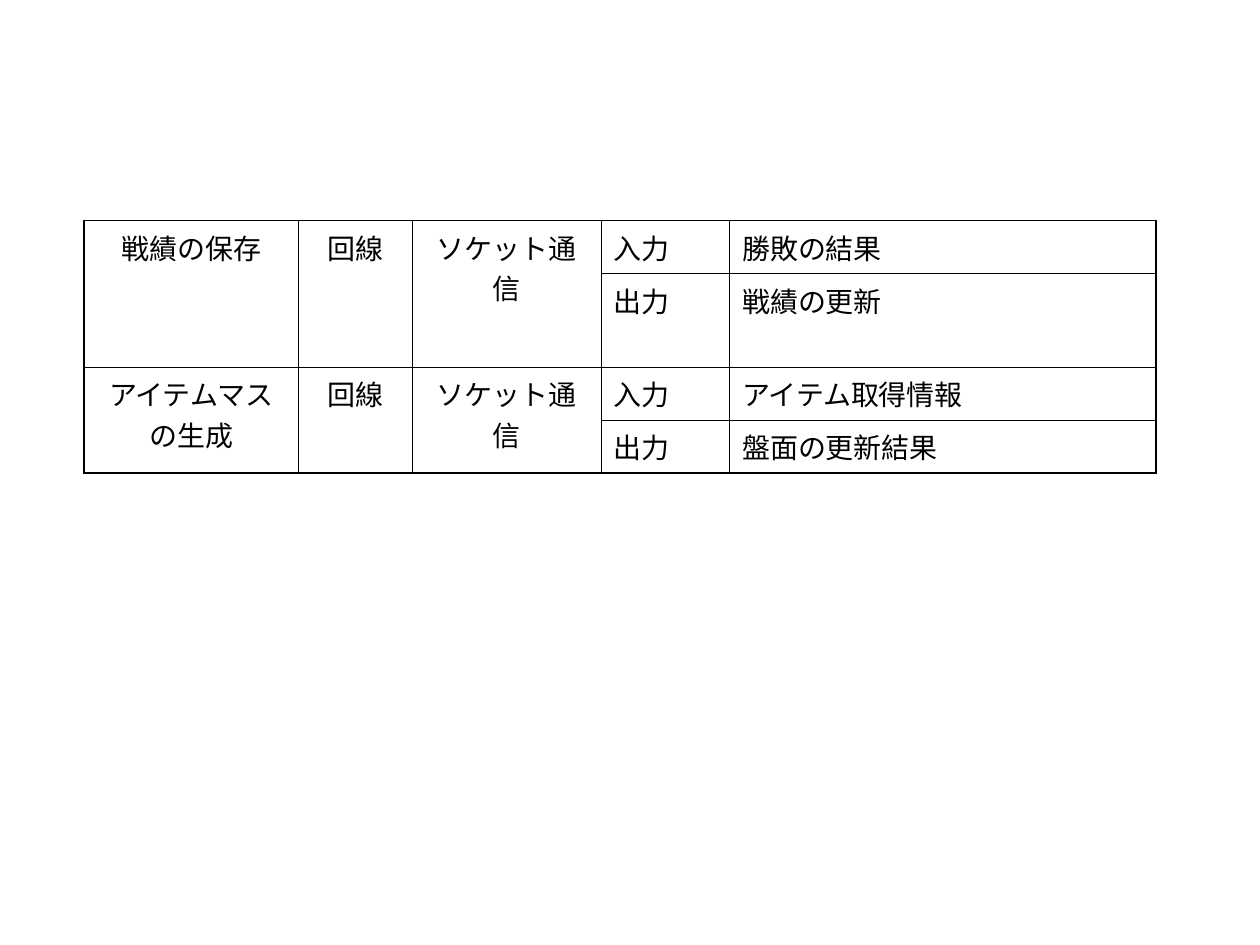
from lxml import etree
from pptx import Presentation
from pptx.dml.color import RGBColor
from pptx.enum import text
from pptx.oxml import ns
from pptx.util import Cm, Pt

COLORS = {"ink": "000000"}
FONT = "Times New Roman"
THIN, THICK = Pt(0.45), Pt(1.08)

COL_WIDTHS = [4.32, 2.29, 3.81, 2.59, 8.59]
ROW_HEIGHTS = [1.07, 1.88, 1.07, 1.07]
# Each function takes two rows: one for its input, one for its output
FUNCTIONS = [
    ("戦績の保存", "回線", "ソケット通信", "勝敗の結果", "戦績の更新"),
    ("アイテムマスの生成", "回線", "ソケット通信", "アイテム取得情報", "盤面の更新結果"),
]


def set_borders(cell, widths):
    """Draw the borders, given as {side: width} in the order L, R, T, B."""
    tc_pr = cell._tc.get_or_add_tcPr()
    for i, (side, width) in enumerate(widths.items()):
        ln = etree.Element(ns.qn(f"a:ln{side}"), w=str(int(width)))
        fill = etree.SubElement(ln, ns.qn("a:solidFill"))
        etree.SubElement(fill, ns.qn("a:srgbClr"), val=COLORS["ink"])
        tc_pr.insert(i, ln)


def write(cell, words, align):
    p = cell.text_frame.paragraphs[0]
    p.alignment = align
    r = p.add_run()
    r.text = words
    r.font.name = FONT
    r.font.size = Pt(16)
    r.font.color.rgb = RGBColor.from_string(COLORS["ink"])


def add_interface_table(s, left, top):
    n_rows, n_cols = len(ROW_HEIGHTS), len(COL_WIDTHS)
    frame = s.shapes.add_table(n_rows, n_cols, Cm(left), Cm(top),
                               Cm(sum(COL_WIDTHS)), Cm(sum(ROW_HEIGHTS)))
    table = frame.table
    table.first_row = table.horz_banding = False
    for col, width in zip(table.columns, COL_WIDTHS):
        col.width = Cm(width)
    for row, height in zip(table.rows, ROW_HEIGHTS):
        row.height = Cm(height)

    # Wording and merged cells
    for i, (*shared, source, result) in enumerate(FUNCTIONS):
        first = 2 * i
        for c, words in enumerate(shared):
            cell = table.cell(first, c)
            cell.merge(table.cell(first + 1, c))
            write(cell, words, text.PP_ALIGN.CENTER)
        for r, pair in enumerate([("入力", source), ("出力", result)], first):
            for c, words in enumerate(pair, len(shared)):
                write(table.cell(r, c), words, text.PP_ALIGN.LEFT)

    # Thin grid with a thicker left, right and bottom edge
    for r in range(n_rows):
        for c in range(n_cols):
            cell = table.cell(r, c)
            cell.fill.background()
            last_row = r + (cell.span_height if cell.is_merge_origin else 1)
            set_borders(cell, {
                "L": THICK if c == 0 else THIN,
                "R": THICK if c == n_cols - 1 else THIN,
                "T": THIN,
                "B": THICK if last_row == n_rows else THIN,
            })


def main():
    prs = Presentation()
    prs.slide_width, prs.slide_height = Cm(25.4), Cm(19.05)
    s = prs.slides.add_slide(prs.slide_layouts[6])
    add_interface_table(s, 1.7, 4.45)
    prs.save("out.pptx")


if __name__ == "__main__":
    main()
